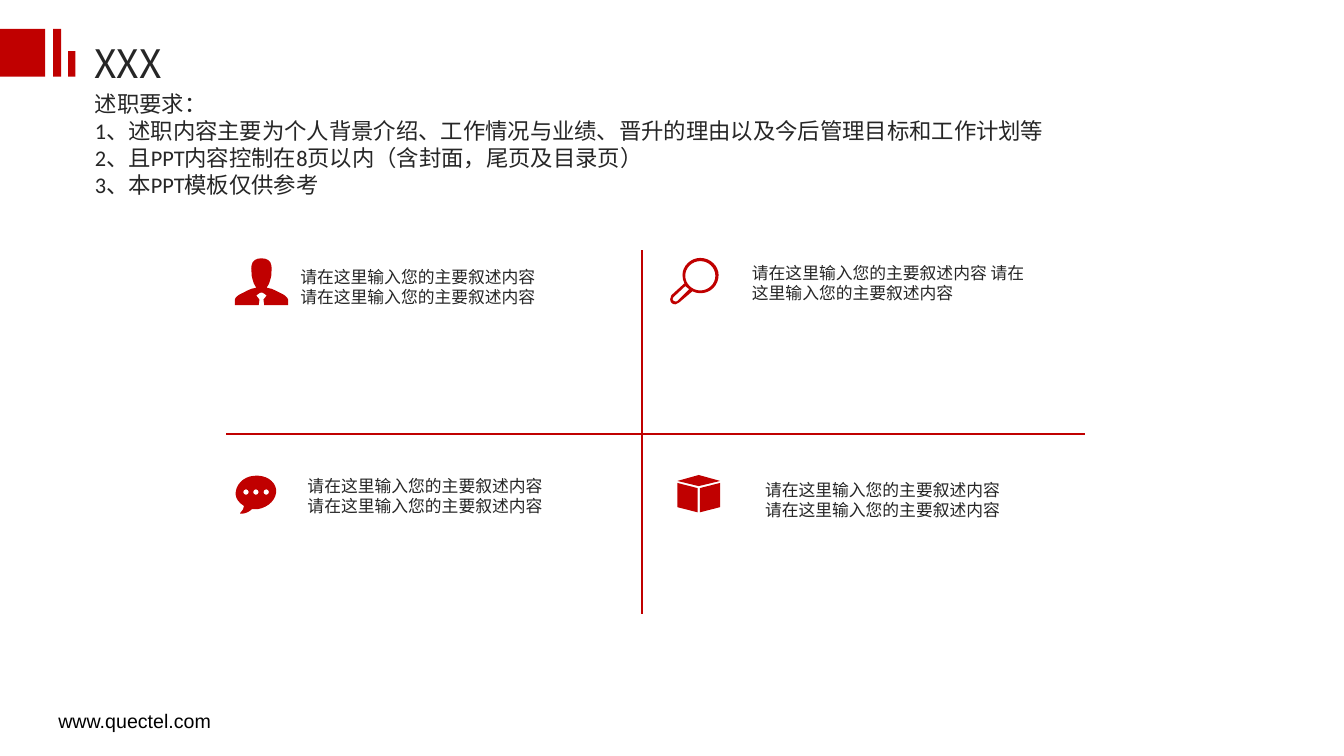
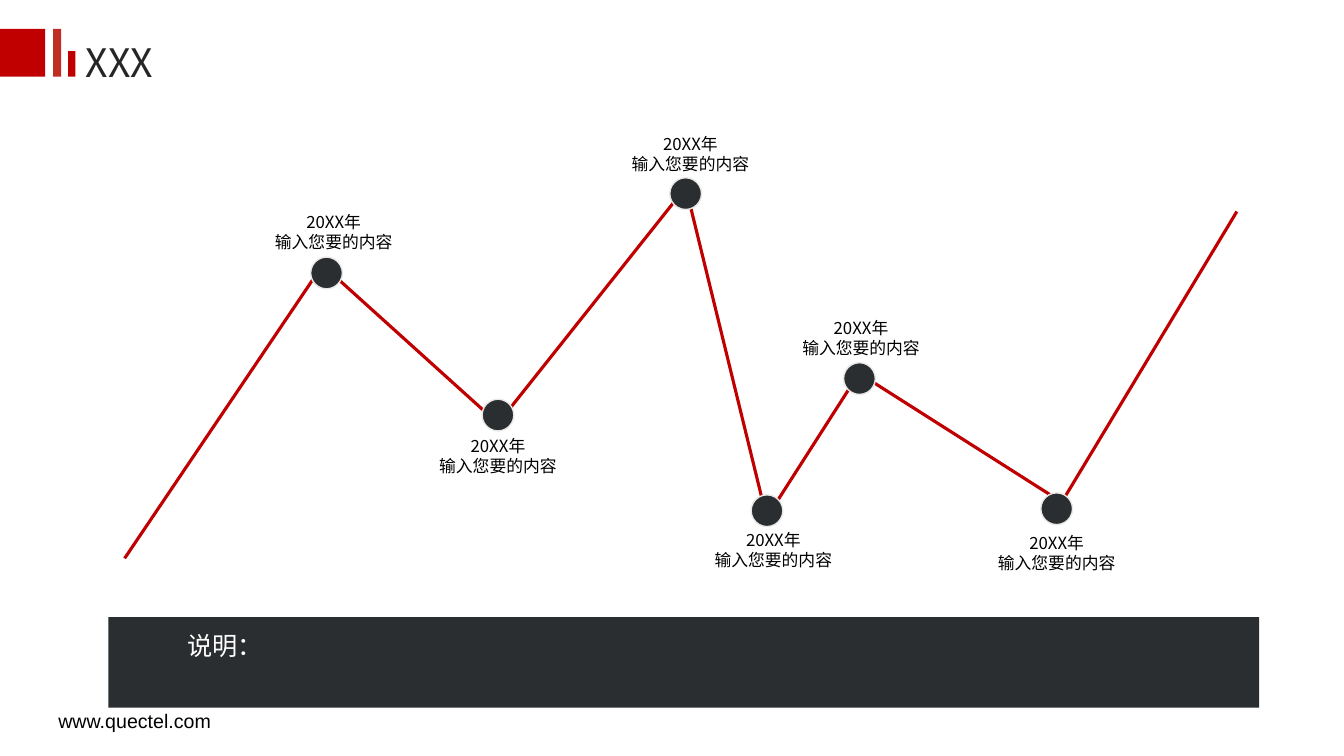
from dataclasses import dataclass
from itertools import pairwise

from lxml import etree
from pptx import Presentation
from pptx import util as u
from pptx.dml.color import RGBColor
from pptx.enum import shapes, text
from pptx.oxml.ns import qn

Point = tuple[float, float]
Contour = list[Point]

RED, BRICK, INK = "C00000", "BF2E23", "262626"
SLATE, PALE, BLACK, WHITE = "2B2E30", "E8E8E6", "000000", "FFFFFF"
CJK = "Noto Sans CJK SC"
PROMPT = "请在这里输入您的主要叙述内容 请在这里输入您的主要叙述内容"
REQUIREMENTS = [
    "述职要求：",
    "1、述职内容主要为个人背景介绍、工作情况与业绩、晋升的理由以及今后管理目标和工作计划等",
    "2、且PPT内容控制在8页以内（含封面，尾页及目录页）",
    "3、本PPT模板仅供参考",
]


@dataclass(frozen=True)
class Box:
    x: float
    y: float
    w: float
    h: float

    def emu(self) -> list[int]:
        return [u.Cm(v) for v in (self.x, self.y, self.w, self.h)]


@dataclass(frozen=True)
class Style:
    size: float
    color: str
    font: str = CJK
    align: text.PP_ALIGN = text.PP_ALIGN.LEFT
    spacing: float = 1.0


@dataclass(frozen=True)
class Milestone:
    dot: Point
    label: Point


TITLE = Style(28, INK)
FOOTER = Style(14, BLACK, "Arial", spacing=0.9)
BODY = Style(16, INK, "Calibri")
QUADRANT = Style(12, INK)
LABEL = Style(12, BLACK, align=text.PP_ALIGN.CENTER)
NOTE = Style(18, WHITE)

QUADRANT_BOXES = [
    Box(7.32, 6.6, 6.65, 1.28),
    Box(7.5, 11.86, 6.45, 1.28),
    Box(18.7, 6.5, 7.52, 1.28),
    Box(19.03, 11.96, 6.45, 1.28),
]
TREND = [
    [(31.17, 5.33), (26.47, 13.13)],
    [(3.14, 14.07), (8.13, 6.68), (12.55, 10.67), (17.32, 4.67)],
    [(17.27, 4.67), (19.33, 13.08)],
    [(21.64, 9.42), (19.33, 13.03)],
    [(21.64, 9.4), (26.47, 12.47)],
]
MILESTONES = [
    Milestone((7.83, 6.48), (5.26, 5.21)),
    Milestone((12.15, 10.06), (9.4, 10.85)),
    Milestone((16.88, 4.48), (14.25, 3.25)),
    Milestone((18.93, 12.47), (16.34, 13.23)),
    Milestone((21.26, 9.14), (18.55, 7.89)),
    Milestone((26.23, 12.42), (23.48, 13.3)),
]


def rgb(value: str) -> RGBColor:
    return RGBColor.from_string(value)


def paint(sp, fill: str, line: str | None = None) -> None:
    sp.shadow.inherit = False
    sp.fill.solid()
    sp.fill.fore_color.rgb = rgb(fill)
    if line:
        sp.line.color.rgb = rgb(line)
        sp.line.width = u.Pt(1)
    else:
        sp.line.fill.background()


def add_preset(s, kind, box: Box, fill: str, line: str | None = None) -> None:
    paint(s.shapes.add_shape(kind, *box.emu()), fill, line)


def add_line(s, start: Point, end: Point, width: float) -> None:
    ends = [u.Cm(v) for v in (*start, *end)]
    ln = s.shapes.add_connector(shapes.MSO_CONNECTOR.STRAIGHT, *ends)
    ln.line.color.rgb = rgb(RED)
    ln.line.width = u.Pt(width)
    etree.SubElement(ln._element.spPr, qn("a:effectLst"))


def add_text(s, box: Box, lines: list[str], style: Style, grow: bool = True):
    sp = s.shapes.add_textbox(*box.emu())
    tf = sp.text_frame
    fit = text.MSO_AUTO_SIZE
    frame_format = {
        "word_wrap": True,
        "auto_size": fit.SHAPE_TO_FIT_TEXT if grow else fit.NONE,
        "vertical_anchor": text.MSO_ANCHOR.TOP if grow else text.MSO_ANCHOR.MIDDLE,
    }
    for name, value in frame_format.items():
        setattr(tf, name, value)
    for i, line in enumerate(lines):
        p = tf.add_paragraph() if i else tf.paragraphs[0]
        p.alignment = style.align
        p.line_spacing = style.spacing
        r = p.add_run()
        r.text = line
        for name, value in {"size": u.Pt(style.size), "name": style.font}.items():
            setattr(r.font, name, value)
        r.font.color.rgb = rgb(style.color)
        etree.SubElement(r._r.get_or_add_rPr(), qn("a:ea"), typeface=CJK)
    return sp


def edge(end: Point) -> Contour:
    return [end] * 3


def oval(x: float, y: float, rx: float, ry: float) -> Contour:
    k = 0.55
    unit = [(1, 0), (1, k), (k, 1), (0, 1), (-k, 1), (-1, k), (-1, 0),
            (-1, -k), (-k, -1), (0, -1), (k, -1), (1, -k), (1, 0)]
    return [(x + rx * dx, y + ry * dy) for dx, dy in unit]


def bend(sp) -> None:
    lines = list(sp._element.iter(qn("a:lnTo")))
    for i in range(0, len(lines), 3):
        bezier = etree.Element(qn("a:cubicBezTo"))
        lines[i].addprevious(bezier)
        for ln in lines[i:i + 3]:
            bezier.append(ln[0])
            ln.getparent().remove(ln)


def add_outline(parent, contours: list[Contour], curved: bool = True) -> None:
    outlines = [[(u.Cm(x), u.Cm(y)) for x, y in c] for c in contours]
    fb = parent.shapes.build_freeform(*outlines[0][0], scale=1.0)
    for i, outline in enumerate(outlines):
        if i:
            fb.move_to(*outline[0])
        fb.add_line_segments(outline[1:], close=True)
    sp = fb.convert_to_shape()
    paint(sp, RED)
    if curved:
        bend(sp)


def add_person(s) -> None:
    axis, top = 6.59, 6.51
    half = [
        (0, 0),
        (0.13, 0), (0.23, 0.05), (0.25, 0.18),
        (0.27, 0.23), (0.25, 0.3), (0.25, 0.36),
        (0.25, 0.41), (0.25, 0.46), (0.23, 0.51),
        (0.2, 0.61), (0.18, 0.69), (0.13, 0.74),
        (0.3, 0.76), (0.43, 0.86), (0.51, 0.89),
        (0.67, 0.97), (0.67, 1.04), (0.67, 1.04),
        *edge((0.67, 1.18)), *edge((0.07, 1.18)), *edge((0.05, 1.04)),
        *edge((0.13, 0.94)), (0.13, 0.94), (0.05, 0.86), (0, 0.86),
    ]
    right = [(axis + x, top + y) for x, y in half]
    left = [(axis - x, top + y) for x, y in reversed(half)]
    add_outline(s, [right + left[1:]])


def add_speech_bubble(s) -> None:
    bubble = [
        (6.96, 12.34),
        (6.93, 12.11), (6.68, 11.96), (6.4, 11.99),
        (6.12, 12.01), (5.92, 12.24), (5.94, 12.47),
        (5.95, 12.57), (6.02, 12.67), (6.15, 12.75),
        (6.15, 12.8), (6.12, 12.86), (6.05, 12.93),
        (5.99, 12.95), (6.2, 12.98), (6.35, 12.83),
        (6.4, 12.83), (6.45, 12.83), (6.5, 12.83),
        (6.78, 12.78), (6.98, 12.57), (6.96, 12.34),
    ]
    add_outline(s, [bubble] + [oval(x, 12.4, 0.07, 0.07) for x in (6.2, 6.45, 6.71)])


def add_magnifier(s) -> None:
    rim = [
        (17.65, 6.5),
        (17.4, 6.5), (17.2, 6.71), (17.2, 6.93),
        (17.2, 7.01), (17.22, 7.09), (17.25, 7.14),
        *edge((16.92, 7.44)),
        (16.9, 7.47), (16.89, 7.5), (16.89, 7.54),
        (16.89, 7.62), (16.94, 7.67), (17.02, 7.67),
        (17.07, 7.67), (17.09, 7.65), (17.12, 7.62),
        *edge((17.45, 7.34)),
        (17.5, 7.37), (17.58, 7.39), (17.65, 7.39),
        (17.91, 7.39), (18.11, 7.19), (18.11, 6.93),
        (18.11, 6.71), (17.91, 6.5), (17.65, 6.5),
    ]
    grip = [
        (17.07, 7.59),
        (17.05, 7.6), (17.04, 7.6), (17.02, 7.6),
        (16.99, 7.6), (16.95, 7.57), (16.95, 7.54),
        (16.95, 7.52), (16.96, 7.51), (16.97, 7.49),
        *edge((17.27, 7.21)),
        (17.32, 7.24), (17.34, 7.26), (17.37, 7.29),
    ]
    add_outline(s, [rim, oval(17.65, 6.95, 0.38, 0.37), grip])


def add_cube(s) -> None:
    axis = 17.61
    side = [(0.03, 12.3), (0.03, 12.91), (0.54, 12.78), (0.54, 12.17)]
    lid = [(0, 11.97), (0.54, 12.12), (0, 12.25), (-0.54, 12.12)]
    group = s.shapes.add_group_shape()
    for face in ([(-x, y) for x, y in side], side, lid):
        add_outline(group, [[(axis + x, y) for x, y in face]], curved=False)


def add_footer(prs, s) -> None:
    sp = add_text(s, Box(1.22, 17.81, 30.73, 0.79), ["www.quectel.com"], FOOTER, grow=False)
    prs.slide_layouts[6].shapes._spTree.append(sp._element)


def add_base(prs, title_box: Box, middle_bar: str):
    s = prs.slides.add_slide(prs.slide_layouts[6])
    for box, fill in (
        (Box(0, 0.73, 1.14, 1.2), RED),
        (Box(1.34, 0.73, 0.2, 1.2), middle_bar),
        (Box(1.72, 1.29, 0.18, 0.64), RED),
    ):
        add_preset(s, shapes.MSO_SHAPE.RECTANGLE, box, fill)
    add_text(s, title_box, ["XXX"], TITLE)
    return s


def add_quadrants_slide(prs) -> None:
    s = add_base(prs, Box(2.13, 0.86, 15.75, 1.45), RED)
    add_footer(prs, s)
    add_line(s, (5.7, 10.93), (27.34, 10.93), 1.5)
    for add_icon in (add_person, add_speech_bubble, add_cube):
        add_icon(s)
    add_line(s, (16.17, 6.3), (16.17, 15.47), 1.5)
    add_magnifier(s)
    for box in QUADRANT_BOXES:
        add_text(s, box, [PROMPT], QUADRANT)
    add_text(s, Box(2.14, 2.15, 26.37, 3), REQUIREMENTS, BODY)


def add_timeline_slide(prs) -> None:
    s = add_base(prs, Box(1.91, 0.84, 14.05, 1.45), BRICK)
    for polyline in TREND:
        for start, end in pairwise(polyline):
            add_line(s, start, end, 2.25)
    for m in MILESTONES:
        add_preset(s, shapes.MSO_SHAPE.OVAL, Box(*m.dot, 0.8, 0.8), SLATE, PALE)
    add_preset(s, shapes.MSO_SHAPE.RECTANGLE, Box(2.73, 15.55, 29, 2.28), SLATE)
    for m in MILESTONES:
        add_text(s, Box(*m.label, 6.3, 1.28), ["20XX年", "输入您要的内容"], LABEL)
    add_text(s, Box(4.47, 15.77, 25.83, 1.02), ["说明："], NOTE)


def main() -> None:
    prs = Presentation()
    prs.slide_width, prs.slide_height = u.Cm(33.87), u.Cm(19.05)
    add_quadrants_slide(prs)
    add_timeline_slide(prs)
    prs.save("out.pptx")


if __name__ == "__main__":
    main()
